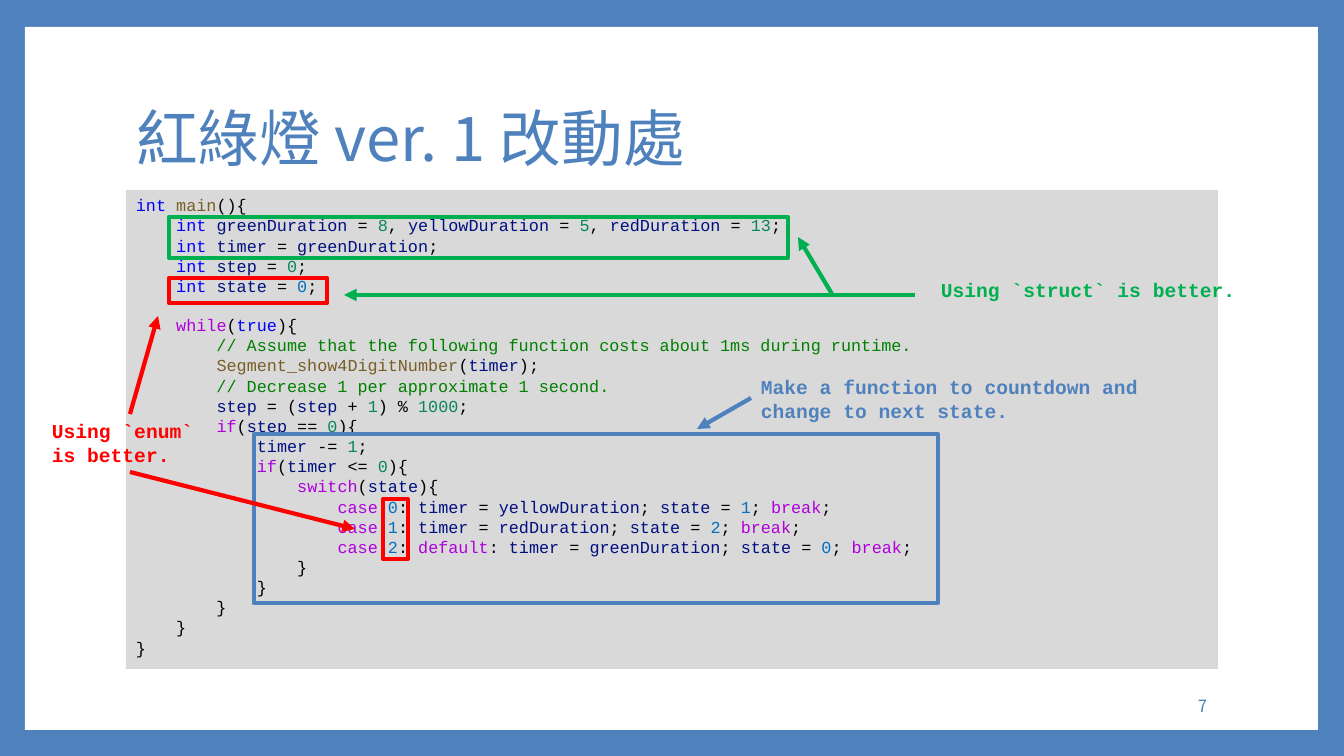
"""Build the slide that reviews the changes in traffic light version 1."""
from itertools import groupby

from lxml.etree import SubElement
from pptx import Presentation
from pptx.dml.color import RGBColor
from pptx.enum.shapes import MSO_CONNECTOR as Connector, MSO_SHAPE as Shape
from pptx.enum.text import MSO_ANCHOR as Anchor, PP_ALIGN as Align
from pptx.oxml.ns import qn
from pptx.util import Emu, Pt

SCALE = 914400 / 100.8
BLUE, GREEN, RED = "4F81BD", "00B050", "FF0000"
MONO, SANS = "Courier New", "Noto Sans CJK SC"
rgb = RGBColor.from_string


def px(*lengths):
    """Turn pixel lengths into EMU."""
    return [Emu(round(length * SCALE)) for length in lengths]


def write(para, text, size=12, color="000000", font=MONO, bold=False):
    """Add one formatted span to a paragraph."""
    span = para.add_run()
    span.text = text
    span.font.size = Pt(size)
    span.font.bold = bold
    span.font.name = font
    span.font.color.rgb = rgb(color)
    SubElement(span.font._element, qn("a:ea")).set("typeface", font)


deck = Presentation()
deck.slide_width, deck.slide_height = px(1344, 756)
page = deck.slides.add_slide(deck.slide_layouts[5])
page.background.fill.solid()
page.background.fill.fore_color.rgb = rgb(BLUE)

panel = page.shapes.add_shape(Shape.RECTANGLE, *px(25, 27, 1293, 703))
panel.shadow.inherit = False
panel.fill.solid()
panel.fill.fore_color.rgb = rgb("FFFFFF")
panel.line.fill.background()
page.shapes._spTree.insert(2, panel._element)

title = page.shapes.title
title.left, title.top, title.width, title.height = px(126, 67, 1089, 149)
title.text_frame.vertical_anchor = Anchor.MIDDLE
heading = title.text_frame.paragraphs[0]
heading.alignment = Align.LEFT
heading.line_spacing = 0.9
write(heading, "紅綠燈 ver. 1 改動處", size=44, color=BLUE, font=SANS)

SOURCE = """int main(){
    int greenDuration = 8, yellowDuration = 5, redDuration = 13;
    int timer = greenDuration;
    int step = 0;
    int state = 0;
    while(true){
        // Assume that the following function costs about 1ms during runtime.
        Segment_show4DigitNumber(timer);
        // Decrease 1 per approximate 1 second.
        step = (step + 1) % 1000;
        if(step == 0){
            timer -= 1;
            if(timer <= 0){
                switch(state){
                    case 0: timer = yellowDuration; state = 1; break;
                    case 1: timer = redDuration; state = 2; break;
                    case 2: default: timer = greenDuration; state = 0; break;
                }
            }
        }
    }
}"""
WORD_COLORS = {
    **dict.fromkeys(["int", "true"], "0000FF"),
    **dict.fromkeys(["main", "Segment_show4DigitNumber"], "795E26"),
    **dict.fromkeys(["while", "if", "switch", "case", "default", "break"], "AF00DB"),
}
VARIABLE, NUMBER, STATE_NUMBER, COMMENT = "001080", "098658", "0070C1", "008000"

listing = page.shapes.add_textbox(*px(126, 190, 1092, 479))
listing.fill.solid()
listing.fill.fore_color.rgb = rgb("D9D9D9")
frame = listing.text_frame
frame.word_wrap = True
for index, line in enumerate(SOURCE.splitlines()):
    para = frame.add_paragraph() if index else frame.paragraphs[0]
    if "while" in line:
        para.space_before = Pt(13.6)
    if "//" in line:
        write(para, line, color=COMMENT)
        continue
    last_word = ""
    for is_word, letters in groupby(line, lambda letter: letter.isalnum() or letter == "_"):
        token = "".join(letters)
        if not is_word:
            write(para, token)
        elif token.isdigit():
            write(para, token, color=STATE_NUMBER if last_word in ("state", "case") else NUMBER)
        else:
            write(para, token, color=WORD_COLORS.get(token, VARIABLE))
            last_word = token

MARKS = [
    (RED, 383, 499, 25, 60),
    (BLUE, 254, 434, 684, 169),
    (GREEN, 169, 217, 619, 41),
    (RED, 169, 278, 158, 25),
]
for color, *place in MARKS:
    mark = page.shapes.add_shape(Shape.RECTANGLE, *px(*place))
    mark.shadow.inherit = False
    mark.fill.background()
    mark.line.color.rgb = rgb(color)
    mark.line.width = Pt(3)

ADVICE = [
    ("Using `enum` is better.", RED, 42, 414, 175, 57),
    ("Make a function to countdown and change to next state.", BLUE, 751, 370, 461, 57),
    ("Using `struct` is better.", GREEN, 931, 273, 412, 34),
]
for text, color, *place in ADVICE:
    box = page.shapes.add_textbox(*px(*place))
    box.text_frame.word_wrap = True
    write(box.text_frame.paragraphs[0], text, size=14, color=color, bold=True)

ARROWS = [
    (BLUE, 751, 398, 697, 429),
    (GREEN, 832, 294, 798, 237),
    (RED, 130, 414, 158, 316),
    (RED, 130, 472, 355, 529),
    (GREEN, 915, 295, 344, 295),
]
for color, *ends in ARROWS:
    arrow = page.shapes.add_connector(Connector.STRAIGHT, *px(*ends))
    arrow.line.color.rgb = rgb(color)
    arrow.line.width = Pt(3)
    SubElement(arrow.line._get_or_add_ln(), qn("a:tailEnd")).set("type", "triangle")
    SubElement(arrow._element.spPr, qn("a:effectLst"))

number = page.shapes.add_textbox(*px(1028, 686, 189, 40))
number.text_frame.word_wrap = True
number.text_frame.vertical_anchor = Anchor.MIDDLE
number.text_frame.paragraphs[0].alignment = Align.RIGHT
write(number.text_frame.paragraphs[0], "7", color=BLUE, font=SANS)

deck.save("out.pptx")
